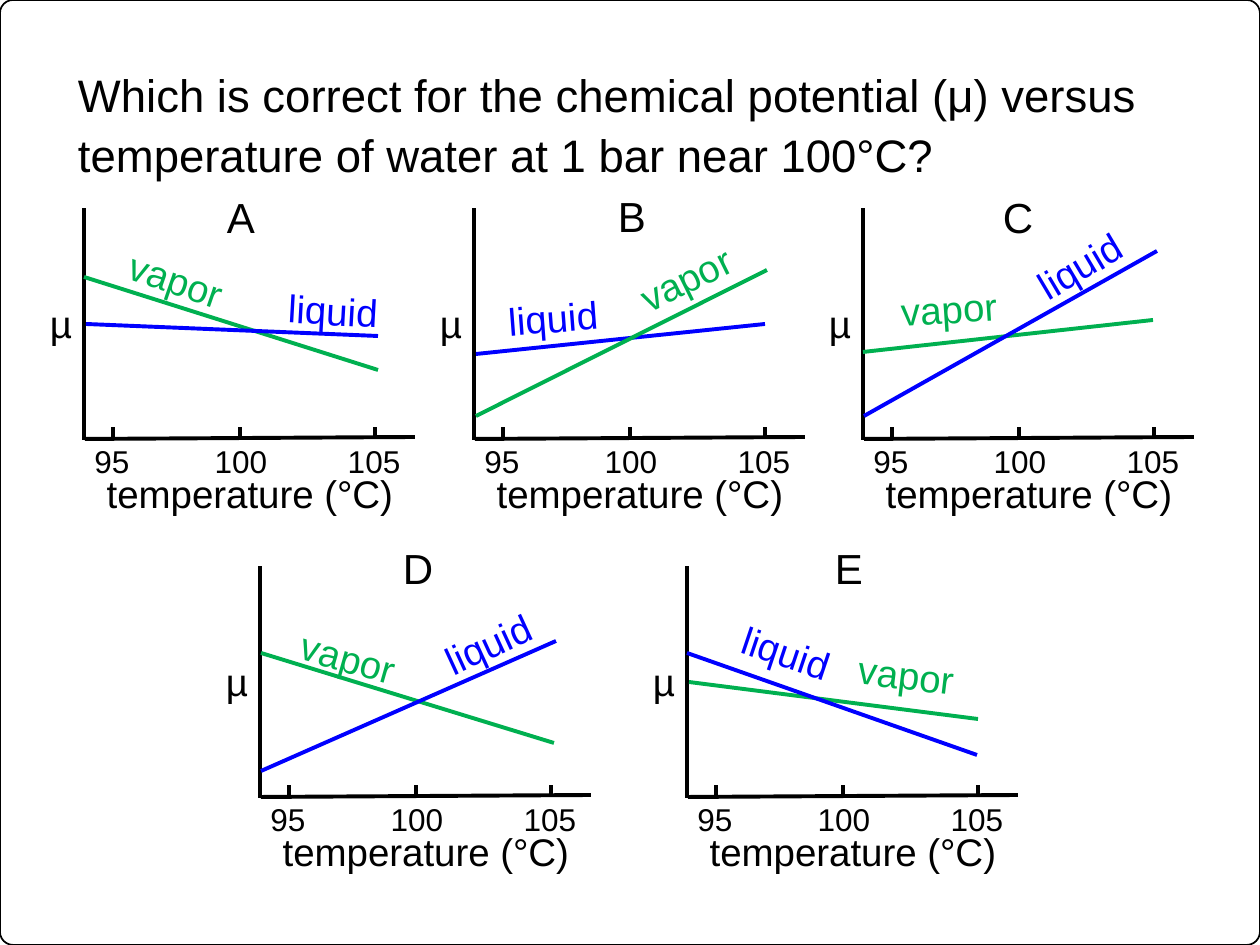
import pptx
import pptx.util
import pptx.dml.color
import pptx.enum.shapes
import pptx.enum.text
import pptx.oxml
from collections import namedtuple
from dataclasses import dataclass

EMU_PER_PX = 914400 / 126


@dataclass(frozen=True)
class Theme:
    font: str = "Arial"
    black: str = "000000"
    vapor: str = "00B050"
    liquid: str = "0000FF"
    question_size: int = 26
    letter_size: int = 24
    label_size: int = 22
    tick_size: int = 18
    line_width: float = 2.25
    frame_width: float = 1


THEME = Theme()

# Curve: line ends, then centre and angle of its label
Curve = namedtuple("Curve", "phase start end center angle")
# Panel: origin is the axis corner; letter is the top centre of its box
Panel = namedtuple("Panel", "name origin letter curves")

QUESTION = ("Which is correct for the chemical potential (μ) versus "
            "temperature of water at 1 bar near 100°C?")

PANELS = [
    Panel("A", (84, 440), (241, 185), [
        Curve("vapor", (84, 277), (378, 370), (176, 280), 19),
        Curve("liquid", (86, 324), (378, 336), (333, 311), 3.3)]),
    Panel("B", (474, 440), (632, 184), [
        Curve("liquid", (476, 354), (765, 324), (553, 318), -4.3),
        Curve("vapor", (476, 416), (767, 270), (686, 279), -26.3)]),
    Panel("C", (863, 440), (1018, 185), [
        Curve("vapor", (863, 352), (1153, 320), (949, 309), -3.8),
        Curve("liquid", (864, 416), (1157, 251), (1080, 266), -30.7)]),
    Panel("D", (260, 798), (418, 536), [
        Curve("vapor", (261, 653), (554, 743), (348, 658), 15.9),
        Curve("liquid", (261, 771), (556, 641), (488, 644), -24.8)]),
    Panel("E", (687, 798), (849, 536), [
        Curve("vapor", (689, 682), (978, 719), (906, 675), 6.9),
        Curve("liquid", (687, 653), (977, 755), (786, 653), 18.7)]),
]

# Tick text: tick offset, then label centre offset from the axis corner
TICKS = {"95": (29, 28), "100": (156, 157), "105": (291, 290)}


def px(length):
    return pptx.util.Emu(round(length * EMU_PER_PX))


def rgb(value):
    return pptx.dml.color.RGBColor.from_string(value)


def apply(target, values):
    for name, value in values.items():
        setattr(target, name, value)


def format_run(run, size, color):
    apply(run.font, {"name": THEME.font, "size": pptx.util.Pt(size)})
    run.font.color.rgb = rgb(color)


def add_frame(slide, width, height):
    frame = slide.shapes.add_shape(
        pptx.enum.shapes.MSO_SHAPE.ROUNDED_RECTANGLE, 0, 0, width, height)
    frame.adjustments[0] = 0.014
    frame.shadow.inherit = False
    frame.fill.background()
    frame.line.color.rgb = rgb(THEME.black)
    frame.line.width = pptx.util.Pt(THEME.frame_width)


def fill_question(slide):
    title, body = slide.placeholders
    title.element.getparent().remove(title.element)
    apply(body, {"left": px(78), "top": px(62),
                 "width": px(1108), "height": px(139)})
    apply(body.text_frame, {
        "margin_left": 0, "margin_right": 0, "margin_top": 0, "margin_bottom": 0,
        "word_wrap": True,
        "auto_size": pptx.enum.text.MSO_AUTO_SIZE.NONE,
        "vertical_anchor": pptx.enum.text.MSO_ANCHOR.TOP})
    paragraph = body.text_frame.paragraphs[0]
    apply(paragraph, {"line_spacing": 1.1, "space_before": pptx.util.Pt(0),
                      "alignment": pptx.enum.text.PP_ALIGN.LEFT})
    # No bullet and no hanging indent
    properties = paragraph._p.get_or_add_pPr()
    properties.set("marL", "0")
    properties.set("indent", "0")
    properties.append(pptx.oxml.parse_xml(
        '<a:buNone xmlns:a="http://schemas.openxmlformats.org/drawingml/2006/main"/>'))
    run = paragraph.add_run()
    run.text = QUESTION
    format_run(run, THEME.question_size, THEME.black)


def add_label(shapes, text, center_x, top, width, height, size,
              color=THEME.black, angle=0):
    box = shapes.add_textbox(px(center_x - width / 2), px(top),
                             px(width), px(height))
    box.rotation = angle
    box.text_frame.word_wrap = True
    paragraph = box.text_frame.paragraphs[0]
    paragraph.alignment = pptx.enum.text.PP_ALIGN.CENTER
    run = paragraph.add_run()
    run.text = text
    format_run(run, size, color)


def add_line(shapes, start, end, color=THEME.black):
    line = shapes.add_connector(pptx.enum.shapes.MSO_CONNECTOR.STRAIGHT,
                                *map(px, (*start, *end)))
    line.line.color.rgb = rgb(color)
    line.line.width = pptx.util.Pt(THEME.line_width)
    line._element.spPr.append(pptx.oxml.parse_xml(
        '<a:effectLst xmlns:a="http://schemas.openxmlformats.org/drawingml/2006/main"/>'))


def add_axes(shapes, x, y):
    for text, (tick, label) in TICKS.items():
        add_label(shapes, text, x + label, y - 4, 86, 50, THEME.tick_size)
        add_line(shapes, (x + tick, y - 3), (x + tick, y - 13))
    add_line(shapes, (x + 1, y - 1), (x + 331, y - 3))
    add_line(shapes, (x, y), (x, y - 232))
    add_label(shapes, "µ", x - 23, y - 146, 48, 59, THEME.label_size)
    add_label(shapes, "temperature (°C)", x + 166, y + 24, 320, 59,
              THEME.label_size)


def add_curve(shapes, curve):
    color = getattr(THEME, curve.phase)
    add_line(shapes, curve.start, curve.end, color)
    center_x, center_y = curve.center
    add_label(shapes, curve.phase, center_x, center_y - 30, 126, 60,
              THEME.label_size, color, curve.angle)


def add_panel(slide, panel):
    shapes = slide.shapes.add_group_shape().shapes
    add_axes(shapes, *panel.origin)
    add_label(shapes, panel.name, *panel.letter, 60, 63, THEME.letter_size)
    for curve in panel.curves:
        add_curve(shapes, curve)


def main():
    presentation = pptx.Presentation()
    apply(presentation, {"slide_width": px(1260), "slide_height": px(945)})
    slide = presentation.slides.add_slide(presentation.slide_layouts[1])

    # Frame and question
    add_frame(slide, presentation.slide_width, presentation.slide_height)
    fill_question(slide)

    # Answer panels
    for panel in PANELS:
        add_panel(slide, panel)

    presentation.save("out.pptx")


if __name__ == "__main__":
    main()
